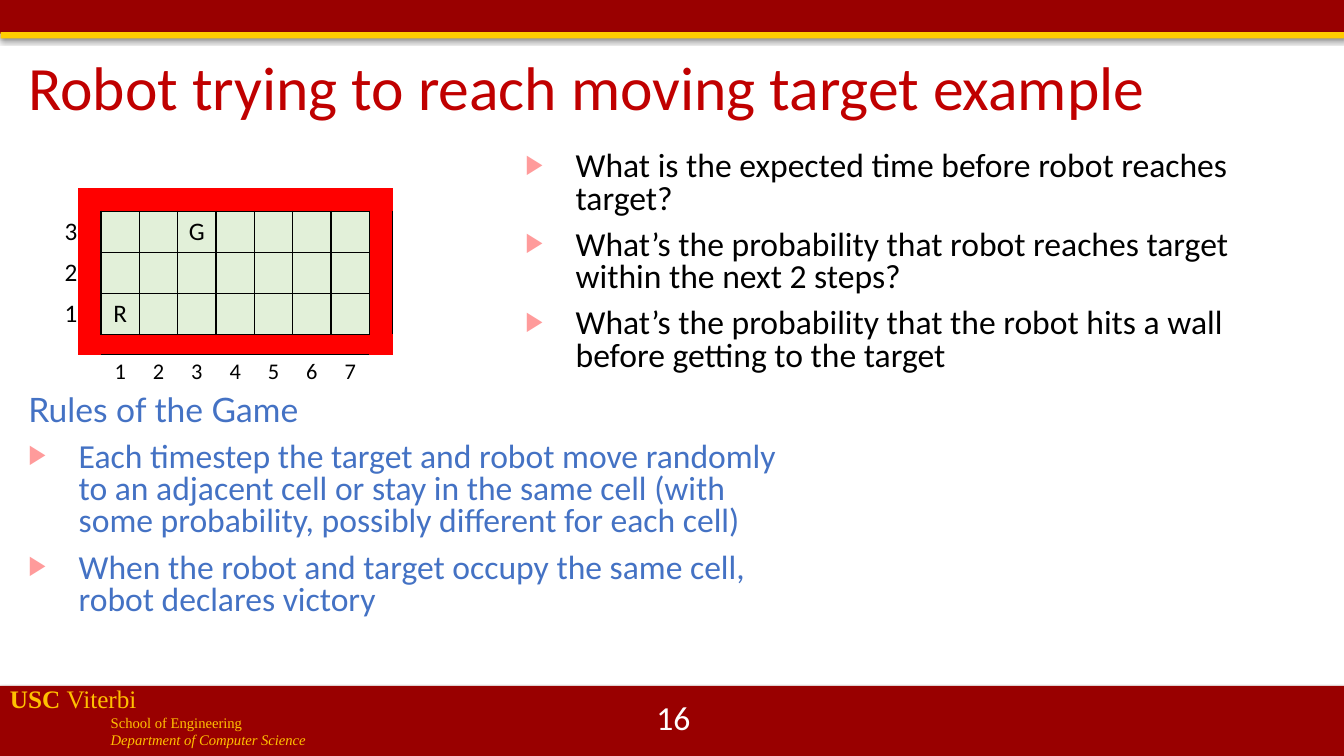
"""Build the slide about a robot chasing a moving target on a grid."""
import lxml.etree
import pptx
import pptx.dml.color
import pptx.enum.shapes
import pptx.enum.text
import pptx.oxml
import pptx.oxml.ns
import pptx.util

Pt = pptx.util.Pt
qn = pptx.oxml.ns.qn
SubElement = lxml.etree.SubElement
Anchor = pptx.enum.text.MSO_ANCHOR
Align = pptx.enum.text.PP_ALIGN
THEME = {
    "cardinal": "990000", "gold": "FFCC00", "footer": "FFC000", "title": "C00000",
    "white": "FFFFFF", "black": "000000", "rules": "4472C4", "bullet": "FF9B9B",
    "wall": "FF0000", "floor": "E2F0D9",
    "title_size": 44, "body_size": 24, "school_size": 18, "department_size": 10.5,
    "row_size": 18, "column_size": 16, "empty_size": 8,
    "font": "Calibri", "heading_font": "Lato", "footer_font": "Times New Roman",
}


def add_run(paragraph, text, size, color, font="font", **formats):
    """Append a run whose look comes from the theme."""
    run = paragraph.add_run()
    run.text = text
    run.font.color.rgb = pptx.dml.color.RGBColor.from_string(THEME[color])
    formats.update(size=Pt(THEME[size]), name=THEME[font])
    for name, value in formats.items():
        setattr(run.font, name, value)


def place(shape, left, top, width, height, anchor=Anchor.TOP):
    """Move a text shape and return its wrapped text frame."""
    for name, value in dict(left=left, top=top, width=width, height=height).items():
        setattr(shape, name, Pt(value))
    frame = shape.text_frame
    frame.word_wrap = True
    frame.auto_size = pptx.enum.text.MSO_AUTO_SIZE.NONE
    frame.vertical_anchor = anchor
    return frame


presentation = pptx.Presentation()
presentation.slide_width = Pt(960)
presentation.slide_height = Pt(540)
slide = presentation.slides.add_slide(presentation.slide_layouts[3])
title, questions, rules = slide.placeholders

bars = [(0, 0, 24, "cardinal", 35), (0.5, 23, 4.5, "gold", 38), (0, 490, 50, "cardinal", 35)]
for left, top, height, color, opacity in bars:
    bar = slide.shapes.add_shape(pptx.enum.shapes.MSO_SHAPE.RECTANGLE,
                                 Pt(left), Pt(top), Pt(960), Pt(height))
    bar.fill.solid()
    bar.fill.fore_color.rgb = pptx.dml.color.RGBColor.from_string(THEME[color])
    bar.line.fill.background()
    effects = SubElement(bar.element.spPr, qn("a:effectLst"))
    shadow = SubElement(effects, qn("a:outerShdw"), blurRad=str(Pt(3.1)),
                        dist=str(Pt(1.8)), dir="5400000", rotWithShape="0")
    shadow_color = SubElement(shadow, qn("a:srgbClr"), val=THEME["black"])
    SubElement(shadow_color, qn("a:alpha"), val=str(opacity * 1000))

footer = place(slide.shapes.add_textbox(0, 0, 0, 0), 0, 484.5, 450, 55.5)
school = footer.paragraphs[0]
add_run(school, "USC ", "school_size", "footer", "footer_font", bold=True)
add_run(school, "Viterbi", "school_size", "footer", "footer_font")
for text, italic in [("School of Engineering", False), ("Department of Computer Science", True)]:
    paragraph = footer.add_paragraph()
    paragraph._p.get_or_add_pPr().set("marL", str(Pt(72)))
    add_run(paragraph, text, "department_size", "footer", "footer_font", italic=italic)

paragraph = place(title, 13, 34, 860, 61, Anchor.MIDDLE).paragraphs[0]
paragraph.alignment = Align.LEFT
paragraph.line_spacing = 0.9
add_run(paragraph, "Robot trying to reach moving target example", "title_size", "title")

number = place(slide.shapes.add_textbox(0, 0, 0, 0), 373, 497.5, 216, 29, Anchor.MIDDLE)
number.paragraphs[0].alignment = Align.CENTER
add_run(number.paragraphs[0], "16", "body_size", "white")

bodies = [
    (questions, (368, 105, 567, 181), "black", None, [
        "What is the expected time before robot reaches target?",
        "What’s the probability that robot reaches target within the next 2 steps?",
        "What’s the probability that the robot hits a wall before getting to the target"]),
    (rules, (13, 279.5, 556.5, 181), "rules", "Rules of the Game", [
        "Each timestep the target and robot move randomly to an adjacent cell or stay in the "
        "same cell (with some probability, possibly different for each cell)",
        "When the robot and target occupy the same cell, robot declares victory"]),
]
for body, box, color, heading, items in bodies:
    frame = place(body, *box)
    lines = [heading] * bool(heading) + items
    for index, text in enumerate(lines):
        paragraph = frame.add_paragraph() if index else frame.paragraphs[0]
        paragraph.line_spacing = 0.8
        paragraph.space_before = Pt(10 if index else 0)
        properties = paragraph._p.get_or_add_pPr()
        indent = 0 if text == heading else 36
        properties.set("marL", str(Pt(indent)))
        properties.set("indent", str(Pt(-indent)))
        if text == heading:
            SubElement(properties, qn("a:buNone"))
        else:
            bullet_color = SubElement(properties, qn("a:buClr"))
            SubElement(bullet_color, qn("a:srgbClr"), val=THEME["bullet"])
            SubElement(properties, qn("a:buSzPct"), val="80000")
            SubElement(properties, qn("a:buChar"), char="▶")
        add_run(paragraph, text, "body_size", color,
                "heading_font" if text == heading else "font")

row_heights = [17, 16.5, 29.3, 29.3, 29.3, 14.7, 24.4]
column_widths = [16.6] * 2 + [27.4] * 7 + [16.6] * 2
floor_cells = {(row, column) for row in range(2, 5) for column in range(2, 9)}
labels = {(2, 4): "G", (4, 2): "R"}
labels.update({(5 - value, 0): str(value) for value in range(1, 4)})
labels.update({(6, value + 1): str(value) for value in range(1, 8)})
sides = {"a:lnL": (0, -1), "a:lnR": (0, 1), "a:lnT": (-1, 0), "a:lnB": (1, 0)}

frame = slide.shapes.add_table(len(row_heights), len(column_widths), Pt(39), Pt(117.4),
                               Pt(sum(column_widths)), Pt(sum(row_heights)))
table = frame.table
table.first_row = table.horz_banding = False
table._tbl.tblPr.find(qn("a:tableStyleId")).text = "{2D5ABB26-0587-4C30-8999-92F81FD0307C}"
for column, width in zip(table.columns, column_widths):
    column.width = Pt(width)
for row_index, height in enumerate(row_heights):
    table.rows[row_index].height = Pt(height)
    for column_index in range(len(column_widths)):
        cell = table.cell(row_index, column_index)
        position = (row_index, column_index)
        cell.margin_left = Pt(7 if column_index == 0 else 0)
        cell.margin_right = cell.margin_top = cell.margin_bottom = 0
        cell.vertical_anchor = Anchor.MIDDLE
        paragraph = cell.text_frame.paragraphs[0]
        paragraph.alignment = Align.CENTER
        if position in labels:
            size = "column_size" if row_index == 6 else "row_size"
            add_run(paragraph, labels[position], size, "black")
        else:
            SubElement(paragraph._p, qn("a:endParaRPr"), sz=str(THEME["empty_size"] * 100))
        properties = cell._tc.get_or_add_tcPr()
        for side, (down, across) in sides.items():
            if floor_cells & {position, (row_index + down, column_index + across)}:
                border = SubElement(properties, qn(side), w=str(Pt(1)))
                border_fill = SubElement(border, qn("a:solidFill"))
                SubElement(border_fill, qn("a:srgbClr"), val=THEME["black"])
        if 1 <= row_index <= 5 and 1 <= column_index <= 9:
            cell.fill.solid()
            color = THEME["floor" if position in floor_cells else "wall"]
            cell.fill.fore_color.rgb = pptx.dml.color.RGBColor.from_string(color)
        else:
            cell.fill.background()

presentation.save("out.pptx")
